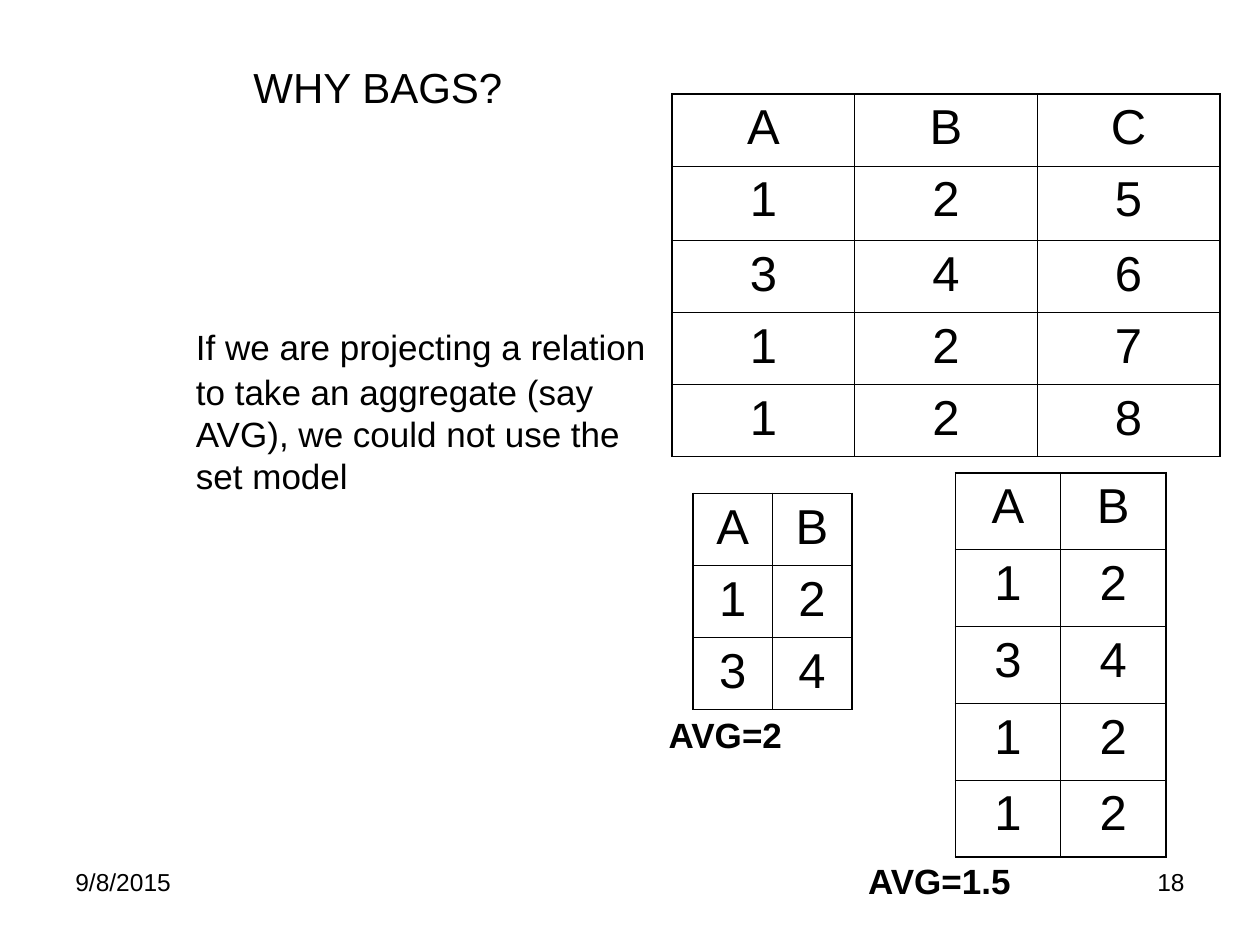
from lxml import etree
from pptx import Presentation
from pptx import util as u
from pptx.dml.color import RGBColor
from pptx.enum import text
from pptx.oxml.ns import qn

BLACK = "000000"
FONT = "Arial"
OUTER, INNER = 1.08, 0.45


def color(value):
    return RGBColor.from_string(value)


def set_attributes(obj, **values):
    for name, value in values.items():
        setattr(obj, name, value)


def add_run(p, words, size, bold=False):
    r = p.add_run()
    r.text = words
    set_attributes(r.font, size=u.Pt(size), name=FONT, bold=bold)
    r.font.color.rgb = color(BLACK)


def add_box(s, box, anchor=text.MSO_ANCHOR.TOP):
    """Add an empty wrapping text box and return its first paragraph."""
    tf = s.shapes.add_textbox(*map(u.Cm, box)).text_frame
    set_attributes(tf, word_wrap=True, vertical_anchor=anchor)
    return tf.paragraphs[0]


def add_line(s, box, words, size, align, **options):
    p = add_box(s, box, **options)
    p.alignment = align
    add_run(p, words, size)


def add_hanging_text(s, box, words, bold=False):
    """Add text that starts after a tab and hangs at the same indent."""
    p = add_box(s, box)
    p.space_before = u.Pt(5)
    pPr = p._p.get_or_add_pPr()
    indent = u.Cm(0.95)
    pPr.set("marL", str(indent))
    pPr.set("indent", str(-indent))
    etree.SubElement(pPr, qn("a:buNone"))
    tabs = etree.SubElement(pPr, qn("a:tabLst"))
    for stop in range(8):
        etree.SubElement(tabs, qn("a:tab"), pos=str(u.Cm(2.54 * stop)), algn="l")
    add_run(p, "\t", 28, True)
    add_run(p, words, 20, bold)


def add_border(cell, side, width):
    ln = etree.SubElement(cell._tc.get_or_add_tcPr(), qn(f"a:ln{side}"),
                          w=str(u.Pt(width)))
    fill = etree.SubElement(ln, qn("a:solidFill"))
    etree.SubElement(fill, qn("a:srgbClr"), val=BLACK)


def add_relation(s, left, top, col_width, row_heights, rows):
    """Add a ruled table with a heavier outer frame."""
    n_rows, n_cols = len(rows), len(rows[0])
    table = s.shapes.add_table(
        n_rows, n_cols, u.Cm(left), u.Cm(top),
        u.Cm(col_width * n_cols), u.Cm(sum(row_heights))).table
    set_attributes(table, first_row=False, horz_banding=False)
    for col in table.columns:
        col.width = u.Cm(col_width)
    for i, (row, height) in enumerate(zip(rows, row_heights)):
        table.rows[i].height = u.Cm(height)
        for j, value in enumerate(row):
            cell = table.cell(i, j)
            edges = {"L": j == 0, "R": j == n_cols - 1,
                     "T": i == 0, "B": i == n_rows - 1}
            for side, is_outer in edges.items():
                add_border(cell, side, OUTER if is_outer else INNER)
            cell.fill.background()
            p = cell.text_frame.paragraphs[0]
            set_attributes(p, alignment=text.PP_ALIGN.CENTER, space_before=u.Pt(7))
            add_run(p, value, 28)


def main():
    prs = Presentation()
    set_attributes(prs, slide_width=u.Cm(25.4), slide_height=u.Cm(19.05))
    s = prs.slides.add_slide(prs.slide_layouts[6])

    add_line(s, (1.27, 0.76, 12.7, 1.98), "WHY BAGS?", 24,
             text.PP_ALIGN.CENTER, anchor=text.MSO_ANCHOR.MIDDLE)
    add_hanging_text(s, (2.75, 6.15, 11.05, 11.63),
                     "If we are projecting a relation to take an aggregate "
                     "(say AVG), we could not use the set model")

    add_relation(s, 13.55, 1.9, 3.68, [1.45, 1.5, 1.45, 1.45, 1.45],
                 ["ABC", "125", "346", "127", "128"])
    add_relation(s, 13.97, 9.95, 1.6, [1.45] * 3, ["AB", "12", "34"])
    add_relation(s, 19.26, 9.53, 2.12, [1.55] * 5,
                 ["AB", "12", "34", "12", "12"])

    add_hanging_text(s, (12.28, 13.97, 4.87, 1.48), "AVG=2", bold=True)
    add_hanging_text(s, (16.3, 16.93, 5.4, 1.48), "AVG=1.5", bold=True)

    add_line(s, (18.2, 17.36, 5.93, 1.32), "18", 14, text.PP_ALIGN.RIGHT)
    add_line(s, (1.27, 17.36, 5.93, 1.32), "9/8/2015", 14, text.PP_ALIGN.LEFT)
    prs.save("out.pptx")


if __name__ == "__main__":
    main()
